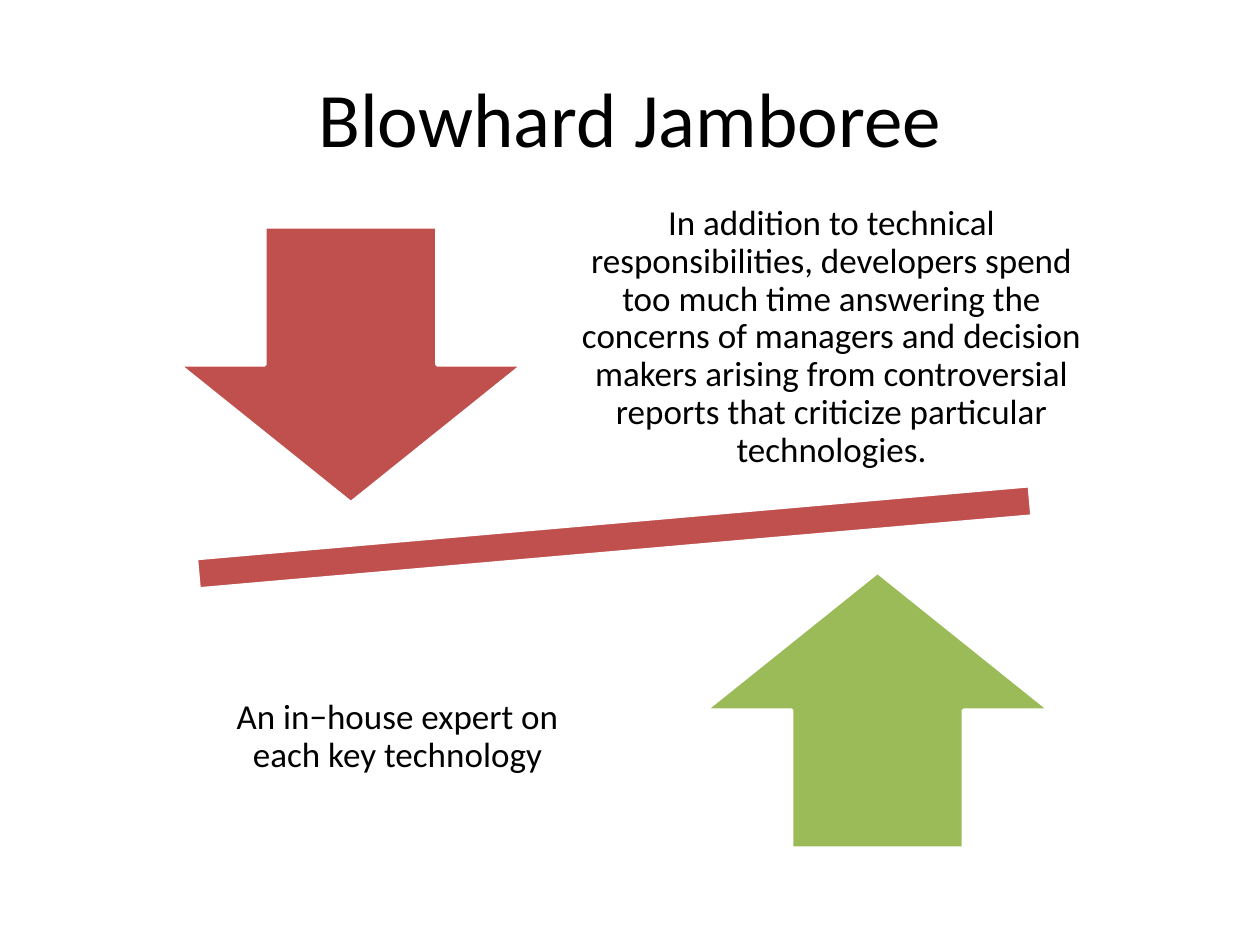
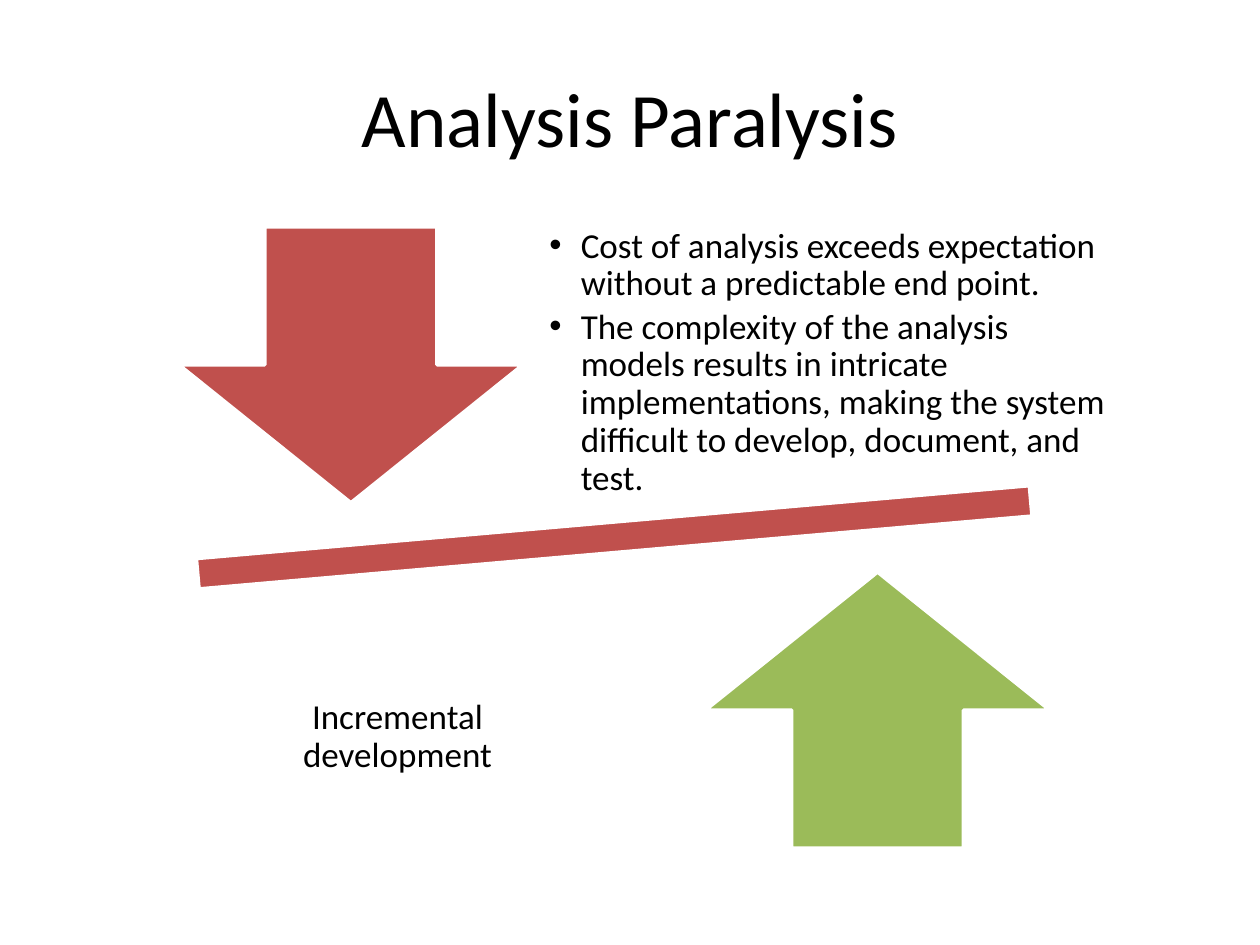
from collections import namedtuple

from lxml import etree
from pptx import Presentation
from pptx.dml.color import RGBColor
from pptx.enum.shapes import MSO_SHAPE
from pptx.enum.text import MSO_ANCHOR, PP_ALIGN
from pptx.oxml.ns import qn
from pptx.util import Inches, Pt

RED = RGBColor(0xC0, 0x50, 0x4D)
GREEN = RGBColor(0x9B, 0xBB, 0x59)
BLACK = RGBColor(0x00, 0x00, 0x00)
WHITE = RGBColor(0xFF, 0xFF, 0xFF)
FONT = "Calibri"

Box = namedtuple("Box", "left top width height")
TITLE = Box(0.5, 0.3, 9, 1.25)
BALANCE = Box(1.42, 1.8, 6.91, 4.93)
ARROW_SIZE = (2.73, 2.19)
BEAM_SIZE = (9.03, 1.03)
TEXT_HEIGHT = 2.3
OVERHANG = 0.27

PROBLEM_PLAIN = {"offset": 2.93, "width": 4.5, "drop": 0, "bulleted": False}
PROBLEM_BULLETS = {"offset": 2.78, "width": 4.8, "drop": 0.2, "bulleted": True}
SOLUTION = {"offset": 0.28, "width": 2.91}

SLIDES = [
    ("Blowhard Jamboree",
     ["In addition to technical responsibilities, developers spend too much "
      "time answering the concerns of managers and decision makers arising "
      "from controversial reports that criticize particular technologies."],
     PROBLEM_PLAIN,
     "An in−house expert on each key technology"),
    ("Analysis Paralysis",
     ["Cost of analysis exceeds expectation without a predictable end point.",
      "The complexity of the analysis models results in intricate "
      "implementations, making the system difficult to develop, document, "
      "and test."],
     PROBLEM_BULLETS,
     "Incremental development"),
]


def apply(target, values):
    for name, value in values.items():
        setattr(target, name, value)


def inches(box):
    return [Inches(length) for length in box]


def format_para(para, size, **layout):
    apply(para, layout)
    apply(para.font, {"name": FONT, "size": Pt(size)})
    para.font.color.rgb = BLACK


def add_bullet(para):
    properties = para._p.get_or_add_pPr()
    properties.set("marL", str(Inches(0.25)))
    properties.set("indent", str(-Inches(0.25)))
    font = etree.SubElement(properties, qn("a:buFont"))
    font.set("typeface", "Arial")
    etree.SubElement(properties, qn("a:buChar")).set("char", "•")


def add_title(page, text, box):
    title = page.shapes.title
    apply(title, dict(zip(box._fields, inches(box))))
    frame = title.text_frame
    apply(frame, {"text": text, "vertical_anchor": MSO_ANCHOR.MIDDLE})
    format_para(frame.paragraphs[0], 44, alignment=PP_ALIGN.CENTER)


def add_figure(page, preset, box, color, rotation=0):
    shape = page.shapes.add_shape(preset, *inches(box))
    shape.rotation = rotation
    shape.shadow.inherit = False
    shape.fill.solid()
    shape.fill.fore_color.rgb = color
    shape.line.color.rgb = WHITE
    shape.line.width = Pt(2)


def add_text(page, texts, box, bulleted=False):
    frame = page.shapes.add_textbox(*inches(box)).text_frame
    apply(frame, {
        "word_wrap": True, "vertical_anchor": MSO_ANCHOR.MIDDLE,
        "margin_left": Inches(0.16), "margin_right": Inches(0.16),
        "margin_top": Inches(0.05), "margin_bottom": Inches(0.05),
    })
    for index, text in enumerate(texts):
        para = frame.add_paragraph() if index else frame.paragraphs[0]
        para.text = text
        if bulleted:
            add_bullet(para)
        format_para(para, 20, line_spacing=0.9,
                    space_after=Pt(3 if bulleted else 7),
                    alignment=PP_ALIGN.LEFT if bulleted else PP_ALIGN.CENTER)


def add_balance(page, box, problems, style, solution):
    right, bottom = box.left + box.width, box.top + box.height
    arrow_width, arrow_height = ARROW_SIZE
    beam_width, beam_height = BEAM_SIZE
    beam = Box(box.left + (box.width - beam_width) / 2,
               box.top + (box.height - beam_height) / 2, *BEAM_SIZE)
    add_figure(page, MSO_SHAPE.MATH_MINUS, beam, RED, rotation=355)
    add_figure(page, MSO_SHAPE.DOWN_ARROW,
               Box(box.left, box.top, *ARROW_SIZE), RED)
    add_text(page, problems,
             Box(box.left + style["offset"], box.top - OVERHANG + style["drop"],
                 style["width"], TEXT_HEIGHT), style["bulleted"])
    add_figure(page, MSO_SHAPE.UP_ARROW,
               Box(right - arrow_width, bottom - arrow_height, *ARROW_SIZE),
               GREEN)
    add_text(page, [solution],
             Box(box.left + SOLUTION["offset"], bottom + OVERHANG - TEXT_HEIGHT,
                 SOLUTION["width"], TEXT_HEIGHT))


def main():
    deck = Presentation()
    apply(deck, {"slide_width": Inches(10), "slide_height": Inches(7.5)})
    for title, problems, style, solution in SLIDES:
        page = deck.slides.add_slide(deck.slide_layouts.get_by_name("Title Only"))
        add_title(page, title, TITLE)
        add_balance(page, BALANCE, problems, style, solution)
    deck.save("out.pptx")


if __name__ == "__main__":
    main()
